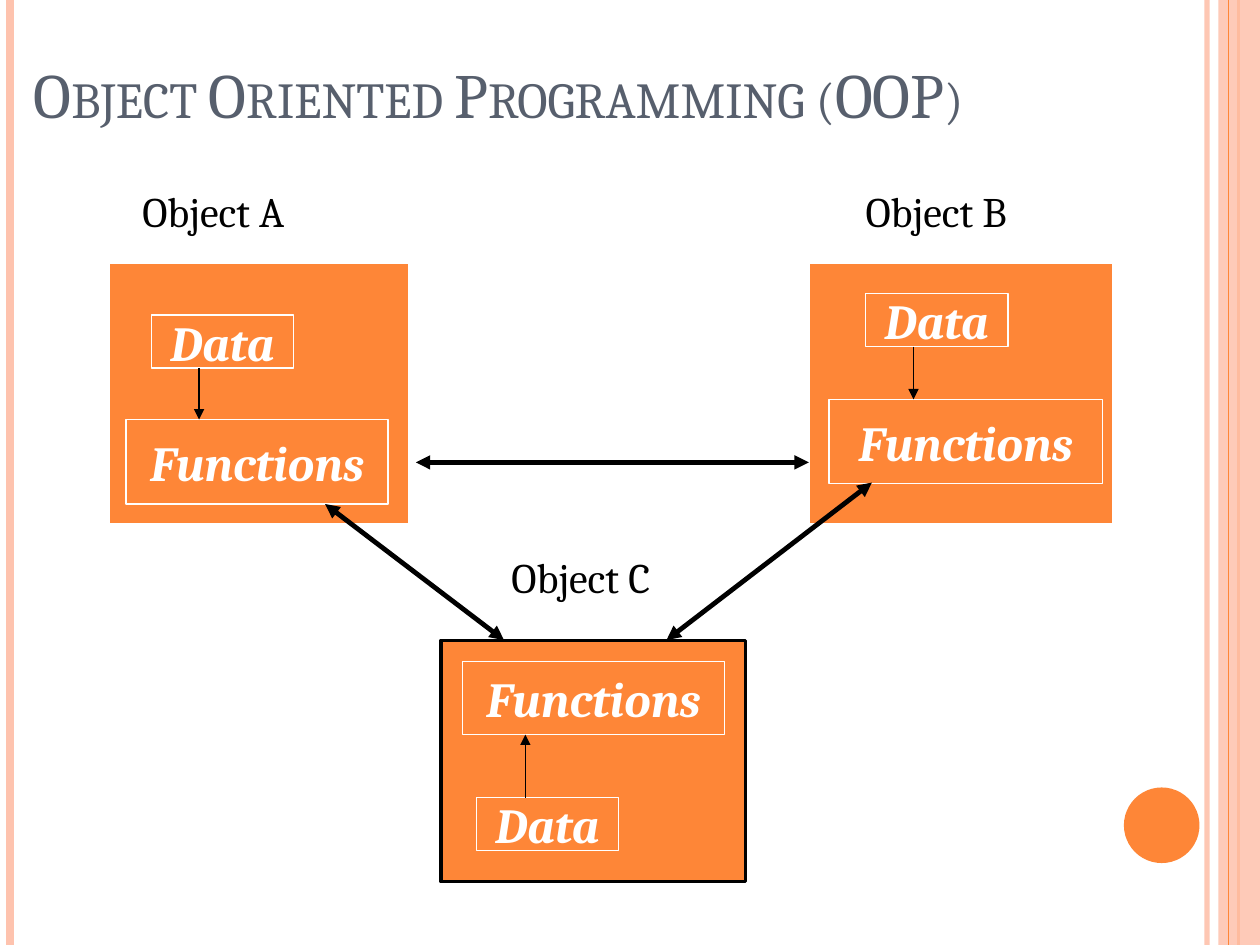
from lxml import etree
from pptx import Presentation
from pptx.dml.color import RGBColor
from pptx.enum.shapes import MSO_CONNECTOR, MSO_SHAPE
from pptx.enum.text import MSO_ANCHOR, PP_ALIGN
from pptx.oxml.ns import qn
from pptx.util import Inches, Pt

RECT, OVAL = MSO_SHAPE.RECTANGLE, MSO_SHAPE.OVAL
STRAIGHT = MSO_CONNECTOR.STRAIGHT
TOP, MIDDLE, BOTTOM = MSO_ANCHOR.TOP, MSO_ANCHOR.MIDDLE, MSO_ANCHOR.BOTTOM
LEFT, CENTER = PP_ALIGN.LEFT, PP_ALIGN.CENTER

THEME = {
    "font": "Cambria",
    "orange": "FE8637", "peach": "FEC3AE", "slate": "575F6D",
    "black": "000000", "white": "FFFFFF",
    "title": {"size": Pt(36)},
    "label": {"size": Pt(24)},
    "part": {"size": Pt(28), "bold": True, "italic": True},
}

# Content: places are (left, top, width, height) in inches
TITLE = "Object Oriented Programming (OOP)"
DATA_SIZE = (1.13, 0.42)
OBJECTS = [
    {"label": "Object A", "label_at": (1.13, 1.47), "box": (0.86, 2.08, 2.39, 2.08),
     "border": "white", "data": (1.2, 2.5), "functions": (1, 3.33, 2.08, 0.67),
     "arrow": (1.58, 2.92, 1.58, 3.33)},
    {"label": "Object B", "label_at": (6.87, 1.47), "box": (6.42, 2.08, 2.42, 2.08),
     "border": "white", "data": (6.87, 2.33), "functions": (6.58, 3.17, 2.17, 0.67),
     "arrow": (7.25, 2.75, 7.25, 3.17)},
    {"label": "Object C", "label_at": (4.06, 4.38), "box": (3.5, 5.08, 2.42, 1.92),
     "border": "black", "data": (3.78, 6.33), "functions": (3.67, 5.25, 2.08, 0.58),
     "arrow": (4.17, 6.33, 4.17, 5.83)},
]
MESSAGES = [(5.29, 5.08, 6.92, 3.83), (2.58, 4, 4, 5.08), (3.3, 3.67, 6.42, 3.67)]

# Side stripes: x, colour, width in points, opacity in percent
STRIPES_BACK = [(9.58, "peach", 3, 93), (0.08, "peach", 4.5, 100),
                (9.83, "orange", 1.5, 100)]
STRIPES_FRONT = [(9.75, "orange", 0.75, 100)]

prs = Presentation()
prs.slide_width, prs.slide_height = Inches(10), Inches(7.5)
s = prs.slides.add_slide(prs.slide_layouts[6])


def rgb(name):
    return RGBColor.from_string(THEME[name])


def set_alpha(sp, percent):
    for clr in sp._element.spPr.iter(qn("a:srgbClr")):
        etree.SubElement(clr, qn("a:alpha"), val=str(percent * 1000))


def add_line(ends, color, width, arrows=(), alpha=100):
    sp = s.shapes.add_connector(STRAIGHT, *map(Inches, ends))
    sp.line.color.rgb = rgb(color)
    sp.line.width = Pt(width)
    ln = sp.line._get_or_add_ln()
    for end in arrows:
        etree.SubElement(ln, qn("a:" + end), type="triangle")
    etree.SubElement(sp._element.spPr, qn("a:effectLst"))
    if alpha < 100:
        set_alpha(sp, alpha)


def add_box(kind, at, fill=None, border=None, width=0.75):
    sp = s.shapes.add_shape(kind, *map(Inches, at))
    sp.shadow.inherit = False
    if fill:
        sp.fill.solid()
        sp.fill.fore_color.rgb = rgb(fill)
    else:
        sp.fill.background()
    if border:
        sp.line.color.rgb = rgb(border)
        sp.line.width = Pt(width)
    else:
        sp.line.fill.background()
    return sp


def write(sp, text, style, color, align=LEFT, anchor=TOP, wrap=False):
    tf = sp.text_frame
    tf.word_wrap, tf.vertical_anchor = wrap, anchor
    p = tf.paragraphs[0]
    p.alignment = align
    r = p.add_run()
    r.text = text
    for name, value in {"name": THEME["font"], **THEME[style]}.items():
        setattr(r.font, name, value)
    r.font.color.rgb = rgb(color)
    return r


def add_text(at, text, style, color, anchor=TOP, inset=0.0):
    sp = s.shapes.add_textbox(*map(Inches, at))
    tf = sp.text_frame
    tf.margin_left = tf.margin_right = Inches(inset)
    tf.margin_top = tf.margin_bottom = Inches(inset / 2)
    return write(sp, text, style, color, anchor=anchor, wrap=True)


def add_stripes(stripes):
    for x, color, width, alpha in stripes:
        add_line((x, 0, x, 7.5), color, width, alpha=alpha)


# Side decoration
add_stripes(STRIPES_BACK)
set_alpha(add_box(RECT, (9.67, 0, 0.33, 7.5), "peach"), 87)
add_stripes(STRIPES_FRONT)
add_box(OVAL, (8.92, 6.25, 0.6, 0.6), "orange")

# Title in small capitals
r = add_text((0.17, 0.17, 9.83, 0.92), TITLE, "title", "slate", BOTTOM, 0.1)
r.font._element.set("cap", "small")

# Objects with their data and functions
for obj in OBJECTS:
    add_text((*obj["label_at"], 1.5, 0.46), obj["label"], "label", "black")
    add_box(RECT, obj["box"], "orange", obj["border"], 1.75)
    for text, at in (("Data", obj["data"] + DATA_SIZE), ("Functions", obj["functions"])):
        write(add_box(RECT, at, border="white"), text, "part", "white", CENTER, MIDDLE)
    add_line(obj["arrow"], "black", 0.75, ("tailEnd",))

# Messages between objects
for ends in MESSAGES:
    add_line(ends, "black", 2.75, ("headEnd", "tailEnd"))

prs.save("out.pptx")
